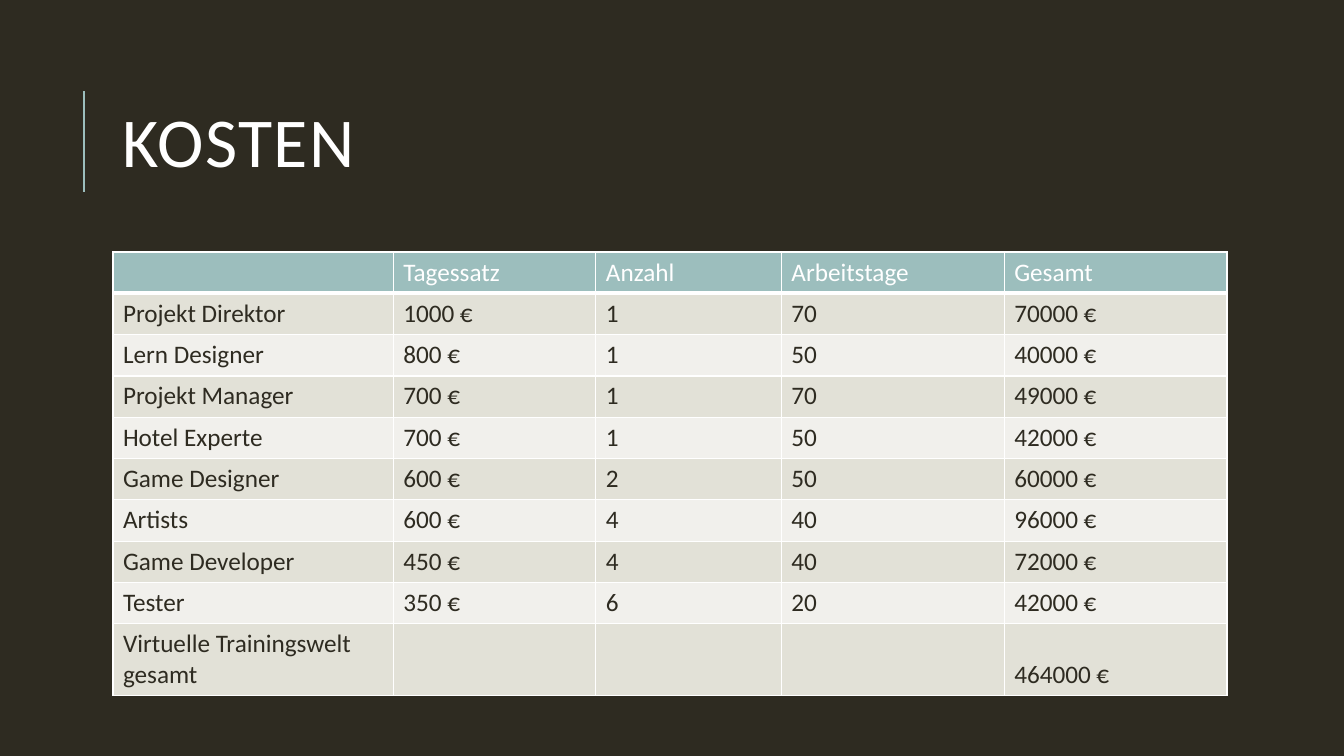
from lxml import etree
from pptx import Presentation
from pptx.dml.color import RGBColor
from pptx.enum import shapes, text
from pptx.oxml import ns
from pptx.util import Inches, Pt

TITLE = "KOSTEN"
COSTS = [
    ("", "Tagessatz", "Anzahl", "Arbeitstage", "Gesamt"),
    ("Projekt Direktor", "1000 €", "1", "70", "70000 €"),
    ("Lern Designer", "800 €", "1", "50", "40000 €"),
    ("Projekt Manager", "700 €", "1", "70", "49000 €"),
    ("Hotel Experte", "700 €", "1", "50", "42000 €"),
    ("Game Designer", "600 €", "2", "50", "60000 €"),
    ("Artists", "600 €", "4", "40", "96000 €"),
    ("Game Developer", "450 €", "4", "40", "72000 €"),
    ("Tester", "350 €", "6", "20", "42000 €"),
    ("Virtuelle Trainingswelt gesamt", "", "", "", "464000 €"),
]
COLUMN_WIDTHS = (2.78, 2.01, 1.84, 2.21, 2.21)
ROW_HEIGHT = 0.41
TOTAL_HEIGHT = 0.71
LEFT = 1.12

FONT = "Calibri"
DARK = RGBColor(0x2E, 0x2B, 0x21)
WHITE = RGBColor(0xFF, 0xFF, 0xFF)
TEAL = RGBColor(0x9C, 0xBE, 0xBD)
BANDS = (RGBColor(0xF1, 0xF0, 0xEC), RGBColor(0xE2, 0xE1, 0xD7))


def format_runs(paragraph, size, color):
    for run in paragraph.runs:
        run.font.name = FONT
        run.font.size = Pt(size)
        run.font.color.rgb = color


def add_borders(cell, top, bottom):
    properties = cell._tc.get_or_add_tcPr()
    widths = {"lnL": 1, "lnR": 1, "lnT": top, "lnB": bottom}
    for index, (tag, width) in enumerate(widths.items()):
        line = etree.Element(ns.qn("a:" + tag), w=str(Pt(width)))
        fill = etree.SubElement(line, ns.qn("a:solidFill"))
        etree.SubElement(fill, ns.qn("a:srgbClr"), val=str(WHITE))
        properties.insert(index, line)


def add_title(slide):
    accent = slide.shapes.add_connector(
        shapes.MSO_CONNECTOR.STRAIGHT,
        Inches(0.83), Inches(1.9), Inches(0.83), Inches(0.9))
    accent.line.color.rgb = TEAL
    accent.line.width = Pt(1.5)
    etree.SubElement(accent._element.spPr, ns.qn("a:effectLst"))

    title = slide.shapes.add_textbox(
        Inches(LEFT), Inches(0.64), Inches(10.63), Inches(1.64))
    frame = title.text_frame
    frame.word_wrap = True
    frame.vertical_anchor = text.MSO_ANCHOR.MIDDLE
    frame.text = TITLE
    paragraph = frame.paragraphs[0]
    paragraph.line_spacing = 0.8
    format_runs(paragraph, 50, WHITE)
    paragraph.runs[0].font._element.set("spc", "100")


def add_cost_table(slide):
    last = len(COSTS) - 1
    heights = [ROW_HEIGHT] * last + [TOTAL_HEIGHT]
    table = slide.shapes.add_table(
        len(COSTS), len(COLUMN_WIDTHS), Inches(LEFT), Inches(2.5),
        Inches(sum(COLUMN_WIDTHS)), Inches(sum(heights))).table
    for column, width in zip(table.columns, COLUMN_WIDTHS):
        column.width = Inches(width)
    for row_index, values in enumerate(COSTS):
        table.rows[row_index].height = Inches(heights[row_index])
        header = row_index == 0
        for column_index, value in enumerate(values):
            cell = table.cell(row_index, column_index)
            cell.fill.solid()
            cell.fill.fore_color.rgb = TEAL if header else BANDS[row_index % 2]
            add_borders(cell, 3 if row_index == 1 else 1, 3 if header else 1)
            cell.text_frame.text = value
            paragraph = cell.text_frame.paragraphs[0]
            paragraph.font.bold = False
            format_runs(paragraph, 18, WHITE if header else DARK)
            for run in paragraph.runs:
                run.font.bold = False
    table.cell(last, len(COLUMN_WIDTHS) - 1).vertical_anchor = text.MSO_ANCHOR.BOTTOM


def main():
    presentation = Presentation()
    presentation.slide_width = Inches(13.33)
    presentation.slide_height = Inches(7.5)
    slide = presentation.slides.add_slide(presentation.slide_layouts[6])
    slide.background.fill.solid()
    slide.background.fill.fore_color.rgb = DARK
    add_title(slide)
    add_cost_table(slide)
    presentation.save("out.pptx")


if __name__ == "__main__":
    main()
